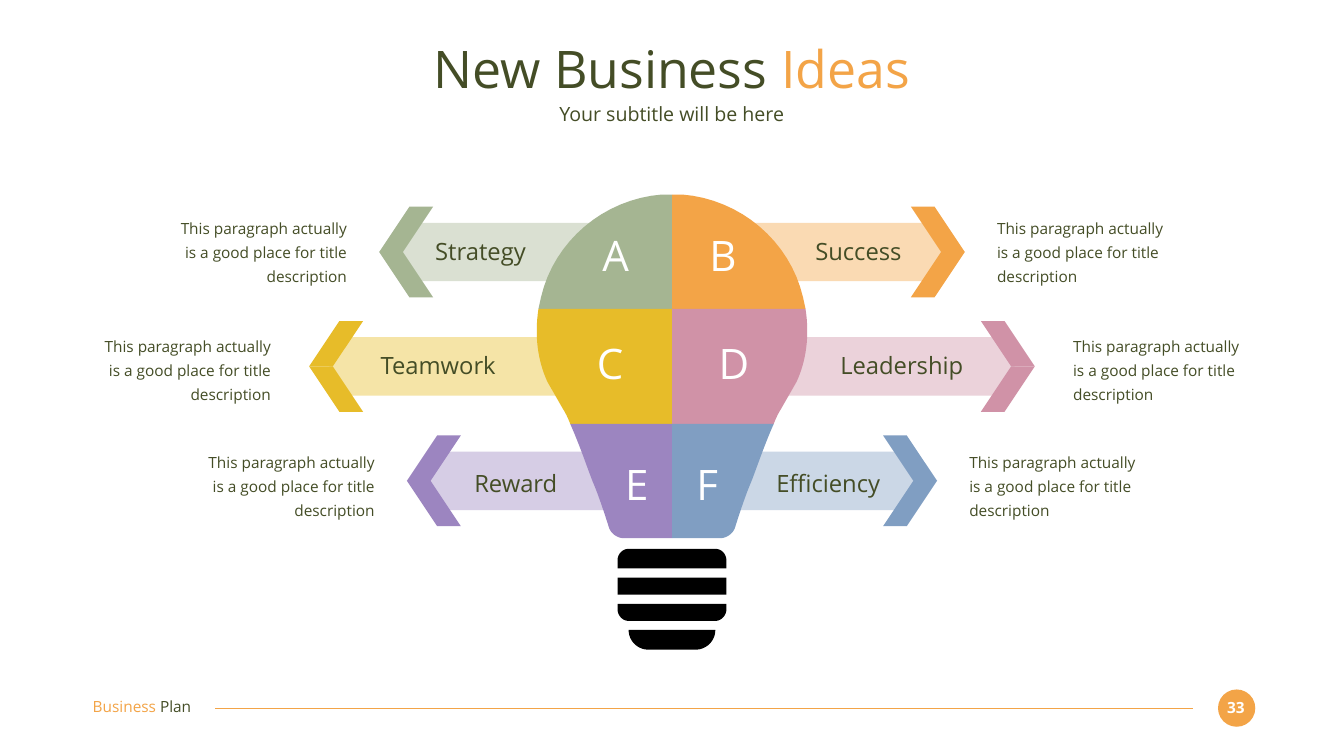
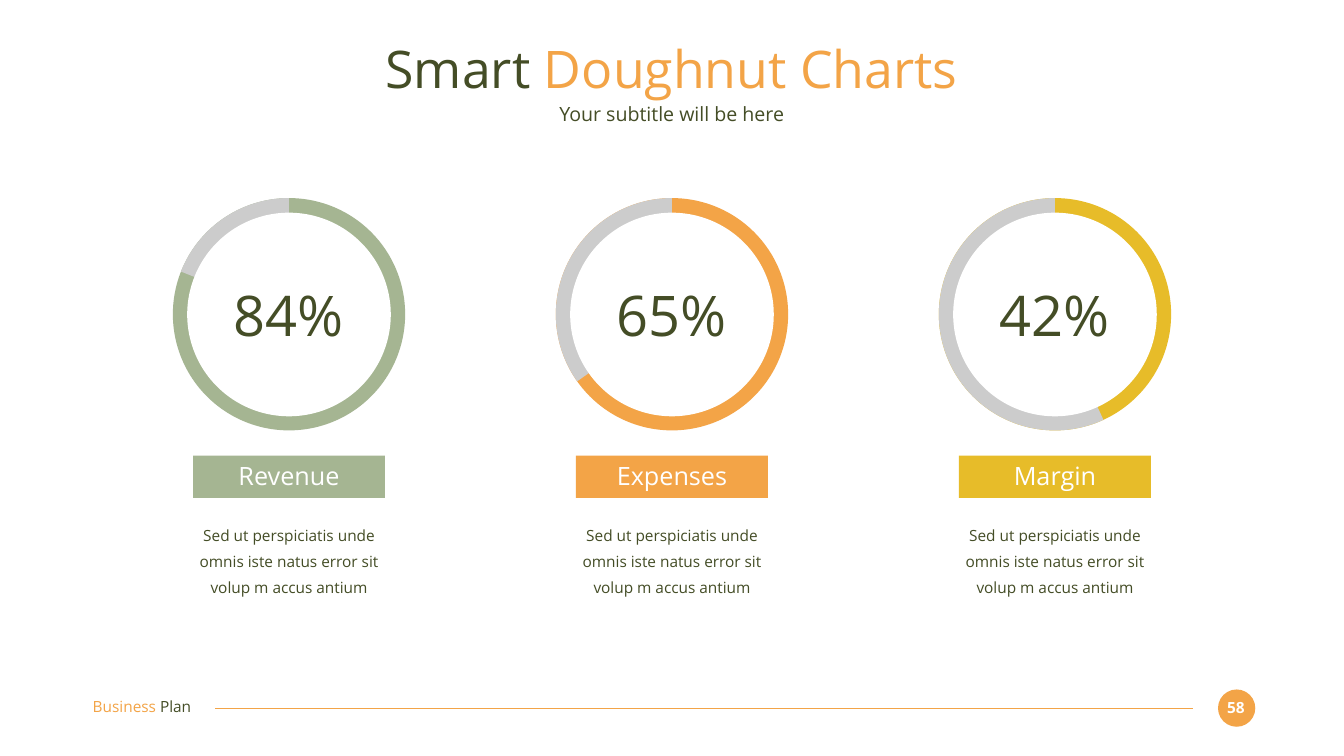
from dataclasses import dataclass

from lxml.etree import SubElement
from pptx import Presentation
from pptx.dml.color import RGBColor
from pptx.enum.shapes import MSO_CONNECTOR, MSO_SHAPE
from pptx.enum.text import PP_ALIGN
from pptx.oxml.ns import qn
from pptx.util import Inches, Pt

FONT = "Open Sans"
DARK, WHITE, BLACK, GREY = "444D26", "FFFFFF", "000000", "CCCCCC"
GREEN, ORANGE, YELLOW = "A5B592", "F3A447", "E7BC29"
PINK, PURPLE, BLUE = "D092A7", "9C85C0", "809EC2"
WIDTH, HEIGHT = 26.67, 15
CENTER = WIDTH / 2
LEFT, RIGHT = -1, 1

IDEA_TEXT = "This paragraph actually is a good place for title description"
RING_TEXT = "Sed ut perspiciatis unde omnis iste natus error sit volup m accus antium"


@dataclass
class Row:
    """Measures of one level of the bulb, as offsets from the centre line."""
    middle: float
    tip: float
    band_start: float
    label_width: float
    label_top: float
    letter_top: float
    note_offset: float
    note_top: float
    outline: list


@dataclass
class Idea:
    """One lettered idea on one side of a row."""
    row: Row
    side: int
    letter: str
    label: str
    color: str
    tint: str
    letter_offset: float
    label_offset: float


# In an outline, a pair is a corner and six numbers are a Bezier curve.
TOP = Row(5, 5.81, 0.64, 2.68, 4.7, 4.55, 6.45, 4.23, [
    (0, 3.86), (0.2, 3.86), (1.35, 3.95, 2.34, 4.78, 2.6, 5.9), (2.65, 6.13), (0, 6.13)])
MIDDLE = Row(7.27, 7.2, 0.64, 3.7, 6.95, 6.69, 7.96, 6.58, [
    (0, 6.13), (2.65, 6.13), (2.73, 6.65, 2.67, 7.15, 2.47, 7.58), (2.16, 8.12),
    (2.11, 8.2, 2.06, 8.3, 2.02, 8.41), (0, 8.41)])
BOTTOM = Row(9.54, 5.26, 0.08, 2.68, 9.3, 9.09, 5.9, 8.88, [
    (0, 8.41), (2.02, 8.41), (1.83, 8.83, 1.64, 9.4, 1.56, 9.59),
    (1.48, 9.77, 1.34, 10.18, 1.25, 10.47), (1.21, 10.59, 1.08, 10.68, 0.95, 10.68),
    (0, 10.68)])
SOCKET = [
    [(0.86, 10.89), (0.98, 10.89, 1.08, 10.99, 1.08, 11.12), (1.08, 11.28)],
    [(1.08, 11.46), (1.08, 11.8)],
    [(1.08, 11.98), (1.08, 12.09), (1.08, 12.21, 0.98, 12.32, 0.86, 12.32)],
    [(0.86, 12.5), (0.86, 12.72, 0.68, 12.89, 0.47, 12.89)],
]
IDEAS = [
    Idea(TOP, LEFT, "A", "Strategy", GREEN, "DAE0D2", 1.12, 3.8),
    Idea(TOP, RIGHT, "B", "Success", ORANGE, "FADAB3", 1.01, 3.7),
    Idea(MIDDLE, LEFT, "C", "Teamwork", YELLOW, "F5E4A7", 1.23, 4.64),
    Idea(MIDDLE, RIGHT, "D", "Leadership", PINK, "EBD2DA", 1.23, 4.56),
    Idea(BOTTOM, LEFT, "E", "Reward", PURPLE, "D6CDE5", 0.7, 3.1),
    Idea(BOTTOM, RIGHT, "F", "Efficiency", BLUE, "CBD7E6", 0.7, 3.1),
]
RINGS = [
    ("84%", "Revenue", GREEN, 201.53),
    ("65%", "Expenses", ORANGE, 144.71),
    ("42%", "Margin", YELLOW, 65.34),
]


def rgb(color):
    """Turn a hex string into a colour."""
    return RGBColor.from_string(color)


def paint(shape, color):
    """Give a shape a flat fill without line or shadow."""
    shape.shadow.inherit = False
    shape.fill.solid()
    shape.fill.fore_color.rgb = rgb(color)
    shape.line.fill.background()


def add_text(page, left, top, width, height, spans, size,
             align=PP_ALIGN.CENTER, spacing=None, bold=None):
    """Add a one-paragraph text box from (text, colour) spans."""
    box = page.shapes.add_textbox(Inches(left), Inches(top), Inches(width), Inches(height))
    frame = box.text_frame
    frame.word_wrap = True
    frame.margin_left = frame.margin_right = frame.margin_top = frame.margin_bottom = 0
    para = frame.paragraphs[0]
    para.alignment = align
    para.line_spacing = spacing
    para.font.name, para.font.size, para.font.bold = FONT, Pt(size), bold
    if len(spans) == 1:
        para.font.color.rgb = rgb(spans[0][1])
    for text, color in spans:
        span = para.add_run()
        span.text = text
        if len(spans) > 1:
            span.font.color.rgb = rgb(color)


def add_block(page, kind, center, top, width, height, color):
    """Add a flat preset shape centred on a horizontal position."""
    shape = page.shapes.add_shape(kind, Inches(center - width / 2), Inches(top),
                                  Inches(width), Inches(height))
    paint(shape, color)
    return shape


def trace(outline, steps=16):
    """Turn corners and Bezier curves into a list of points."""
    points = []
    for item in outline:
        if len(item) == 2:
            points.append(item)
            continue
        start, first, second, end = points[-1], item[:2], item[2:4], item[4:]
        for step in range(1, steps + 1):
            t = step / steps
            u = 1 - t
            points.append(tuple(
                u**3 * a + 3 * u * u * t * b + 3 * u * t * t * c + t**3 * d
                for a, b, c, d in zip(start, first, second, end)))
    return points


def mirror(points, side):
    """Place points on one side of the centre line."""
    return [(side * x, y) for x, y in points]


def add_outline(page, contours, color):
    """Add one flat freeform from contours measured from the centre line."""
    placed = [[(Inches(CENTER + x), Inches(y)) for x, y in points] for points in contours]
    builder = page.shapes.build_freeform(*placed[0][0], scale=1.0)
    for index, points in enumerate(placed):
        if index:
            builder.move_to(*points[0])
        builder.add_line_segments(points[1:], close=True)
    paint(builder.convert_to_shape(), color)


def add_header(page, dark_words, bright_words):
    """Add the two-colour title and the subtitle."""
    add_text(page, 1.83, 0.73, 23, 1.27, [(dark_words, DARK), (bright_words, ORANGE)], 74)
    add_text(page, 1.83, 2.03, 23, 0.49, [("Your subtitle will be here", DARK)], 28)


def add_footer(page, number):
    """Add the footer text, rule and page number."""
    add_block(page, MSO_SHAPE.OVAL, 24.54, 13.68, 0.74, 0.74, ORANGE)
    add_text(page, 24.23, 13.85, 0.59, 0.37, [(number, WHITE)], 22, bold=True)
    rule = page.shapes.add_connector(MSO_CONNECTOR.STRAIGHT, Inches(23.67), Inches(14.05),
                                     Inches(4.27), Inches(14.05))
    rule.line.color.rgb = rgb(ORANGE)
    rule.line.width = Pt(1.5)
    SubElement(rule._element.spPr, qn("a:effectLst"))
    add_text(page, 1.84, 13.84, 2.59, 0.37, [("Business ", ORANGE), ("Plan", DARK)], 22,
             PP_ALIGN.LEFT)


def add_arrow(page, idea):
    """Add the tinted band and the two-part chevron of an idea."""
    row = idea.row
    tip, middle = row.tip, row.middle
    top, bottom = middle - 0.58, middle + 0.58
    band = [(tip - 0.75, bottom), (row.band_start, bottom), (row.band_start, top),
            (tip - 0.75, top), (tip - 0.4, middle)]
    add_outline(page, [mirror(band, idea.side)], idea.tint)
    for edge in (middle - 0.9, middle + 0.9):
        half = [(tip, middle), (tip - 0.47, middle), (tip - 1.07, edge), (tip - 0.6, edge)]
        add_outline(page, [mirror(half, idea.side)], idea.color)


def add_idea_text(page, idea):
    """Add the letter, label and note of an idea."""
    row, side = idea.row, idea.side
    add_text(page, CENTER + side * idea.letter_offset - 0.535, row.letter_top, 1.07, 1.01,
             [(idea.letter, WHITE)], 60)
    add_text(page, CENTER + side * idea.label_offset - row.label_width / 2, row.label_top,
             row.label_width, 0.57, [(idea.label, DARK)], 34)
    note_width = 3.54
    note_left = CENTER + side * row.note_offset - (note_width if side == LEFT else 0)
    add_text(page, note_left, row.note_top, note_width, 1.44, [(IDEA_TEXT, DARK)], 22,
             PP_ALIGN.RIGHT if side == LEFT else PP_ALIGN.LEFT, 1.3)


def add_bulb(page):
    """Add the coloured glass and the black socket of the bulb."""
    for idea in IDEAS:
        add_outline(page, [mirror(trace(idea.row.outline), idea.side)], idea.color)
    halves = [trace(outline) for outline in SOCKET]
    add_outline(page, [half + mirror(half[::-1], LEFT) for half in halves], BLACK)


def add_ring(page, center, value, label, color, end_angle):
    """Add a ring gauge with its value, label and description."""
    add_block(page, MSO_SHAPE.OVAL, center, 3.93, 4.61, 4.61, color)
    rest = add_block(page, MSO_SHAPE.PIE, center, 3.93, 4.61, 4.61, GREY)
    for index, angle in enumerate((end_angle, 270)):
        rest.adjustments[index] = angle * 0.6
    add_block(page, MSO_SHAPE.OVAL, center, 4.22, 4.04, 4.04, WHITE)
    add_text(page, center - 1.19, 5.56, 2.38, 1.35, [(value, DARK)], 80)
    add_block(page, MSO_SHAPE.RECTANGLE, center, 9.04, 3.81, 0.84, color)
    add_text(page, center - 1.55, 9.13, 3.1, 0.61, [(label, WHITE)], 36)
    add_text(page, center - 2.155, 10.29, 4.31, 1.56, [(RING_TEXT, DARK)], 22, spacing=1.4)


def add_page(deck, dark_words, bright_words, number):
    """Add a blank page with the shared header and footer."""
    page = deck.slides.add_slide(deck.slide_layouts[6])
    add_footer(page, number)
    add_header(page, dark_words, bright_words)
    return page


def main():
    """Build both pages and save the deck."""
    deck = Presentation()
    deck.slide_width, deck.slide_height = Inches(WIDTH), Inches(HEIGHT)

    page = add_page(deck, "New Business ", "Ideas", "33")
    for idea in IDEAS:
        add_arrow(page, idea)
    add_bulb(page)
    for idea in IDEAS:
        add_idea_text(page, idea)

    page = add_page(deck, "Smart ", "Doughnut Charts", "58")
    for column, ring in enumerate(RINGS):
        add_ring(page, CENTER + (column - 1) * 7.6, *ring)

    deck.save("out.pptx")


if __name__ == "__main__":
    main()
